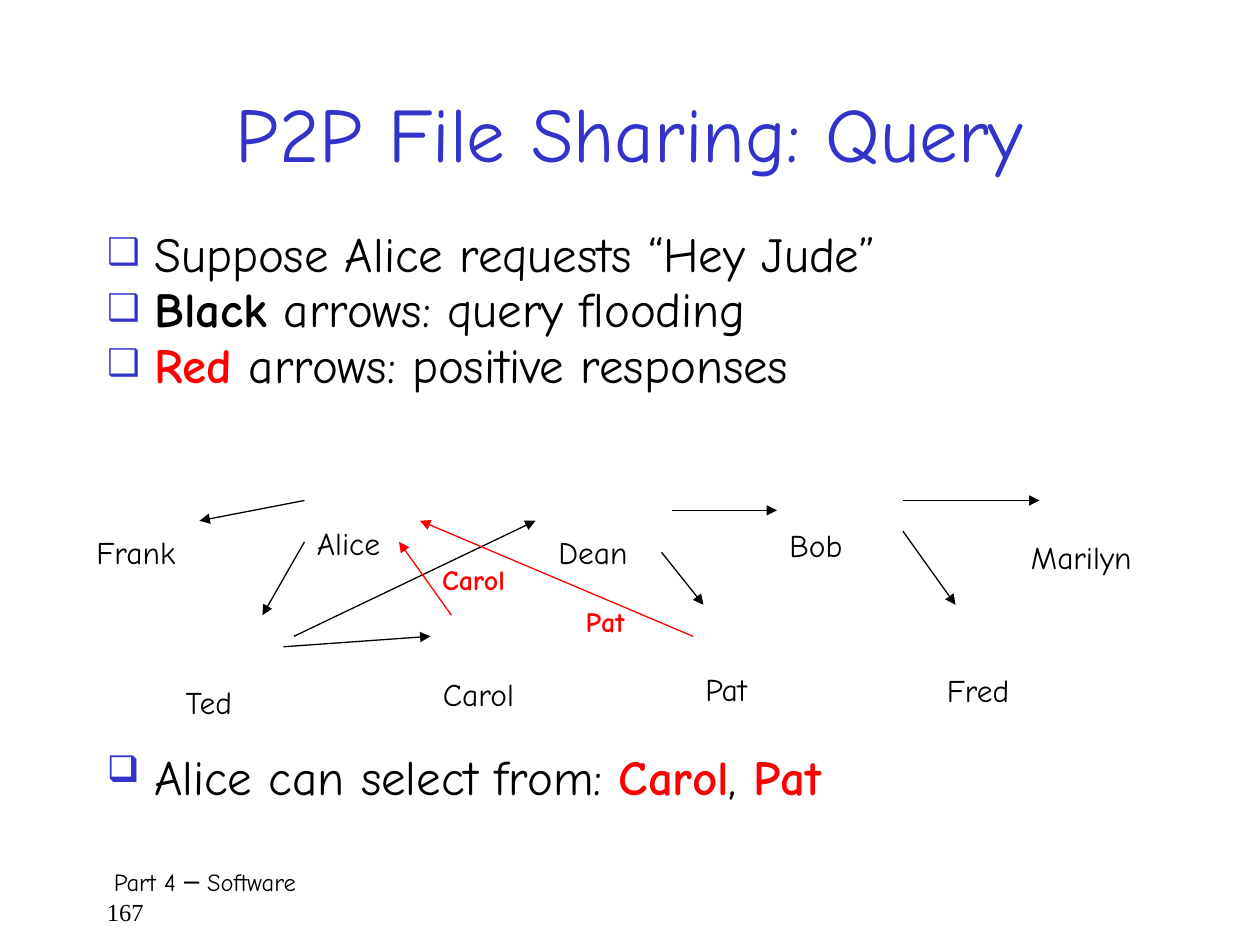
import pptx
import pptx.util
import pptx.dml.color
import pptx.enum.shapes
import pptx.enum.text
import pptx.oxml.ns
import lxml.etree

Pt = pptx.util.Pt
HUE = {"ink": "000000", "blue": "3333CC", "red": "FF0000"}
FACE = "Comic Neue"

# Content: a run is (text, colour, bold)
TITLE = "P2P File Sharing: Query"
LIST = [
    [("Suppose Alice requests “Hey Jude”", "ink", False)],
    [("Black", "ink", True), (" arrows: query flooding", "ink", False)],
    [("Red", "red", True), (" arrows: positive responses", "ink", False)],
]
LAST = [[("Alice can select from: ", "ink", False), ("Carol", "red", True),
         (", ", "ink", False), ("Pat", "red", True)]]
FOOT, PAGE = "Part 4 ─ Software", "167"

# Peers and replies: name, left, top, width
PEERS = [
    ("Frank", 48, 301, 62.6), ("Ted", 99, 387, 47), ("Carol", 246, 382, 57.6),
    ("Pat", 396, 379.5, 42), ("Marilyn", 582, 304, 77), ("Bob", 444, 297, 46),
    ("Alice", 174, 296, 57), ("Dean", 312, 301, 56), ("Fred", 534, 380, 55),
]
REPLIES = [("Carol", 245.5, 318, 54), ("Pat", 327.6, 342, 39.6)]

# Arrows: start x, y, end x, y
ARROWS = {
    "ink": [
        (174, 286, 114, 297.6), (174, 309.6, 150, 351.6),
        (162, 369.6, 246, 363.6), (168, 363.6, 306, 297.6),
        (384, 291.6, 444, 291.6), (378, 315.6, 402, 345.6),
        (516, 286, 594, 286), (516, 303.6, 546, 345.6),
    ],
    "red": [(396, 363.6, 240, 297.6), (258, 351.6, 228, 309.6)],
}


def add(node, tag, **attrs):
    return lxml.etree.SubElement(node, pptx.oxml.ns.qn(tag), attrs)


def tint(hue):
    return pptx.dml.color.RGBColor.from_string(HUE[hue])


def write(frame, paras, size=18, hue="ink", bold=False, face=FACE,
          align=None, line=None, gap=0, mark=False, wrap=True, fit="NONE"):
    """Fill a text frame; paras is a string or a list of lists of runs."""
    if isinstance(paras, str):
        paras = [[(paras, hue, bold)]]
    frame.word_wrap = wrap
    frame.auto_size = getattr(pptx.enum.text.MSO_AUTO_SIZE, fit)
    for i, runs in enumerate(paras):
        para = frame.add_paragraph() if i else frame.paragraphs[0]
        if mark:
            props = para._p.get_or_add_pPr()
            props.set("marL", str(Pt(27)))
            props.set("indent", str(-Pt(27)))
            add(add(props, "a:buClr"), "a:srgbClr", val=HUE["blue"])
            add(props, "a:buSzPct", val="75000")
            add(props, "a:buChar", char="❑")
        para.alignment = align
        para.line_spacing = line
        para.space_before = Pt(gap if i else 0)
        for text, tone, heavy in runs:
            run = para.add_run()
            run.text = text
            font = run.font
            font.name, font.size, font.bold = face, Pt(size), heavy
            font.color.rgb = tint(tone)


def place(shape, *box):
    shape.left, shape.top, shape.width, shape.height = map(Pt, box)
    return shape.text_frame


def box(slide, *area):
    return slide.shapes.add_textbox(*map(Pt, area)).text_frame


def arrow(slide, hue, *ends):
    kind = pptx.enum.shapes.MSO_CONNECTOR.STRAIGHT
    link = slide.shapes.add_connector(kind, *map(Pt, ends))
    link.line.color.rgb = tint(hue)
    link.line.width = Pt(0.75)
    add(link.line._get_or_add_ln(), "a:tailEnd", type="triangle")
    add(link._element.spPr, "a:effectLst")


def main():
    deck = pptx.Presentation()
    deck.slide_width, deck.slide_height = Pt(720), Pt(540)
    slide = deck.slides.add_slide(deck.slide_layouts[1])

    # Title and lists
    head = place(slide.shapes.title, 54, 42, 612, 66)
    head.vertical_anchor = pptx.enum.text.MSO_ANCHOR.MIDDLE
    write(head, TITLE, size=44, hue="blue",
          align=pptx.enum.text.PP_ALIGN.CENTER)
    body = place(slide.placeholders[1], 54, 132, 618, 108)
    write(body, LIST, size=28, line=0.75, gap=6.4, mark=True)
    write(box(slide, 54, 432, 612, 36), LAST, size=28, line=0.7, mark=True)

    # Footer, with the page number on its second line
    foot = box(slide, 54, 492, 618, 36)
    write(foot, [[(FOOT, "ink", False)], [(PAGE, "ink", False)]], size=14)
    foot.paragraphs[0]._p.get_or_add_pPr().set("indent", str(Pt(4)))
    foot.paragraphs[1].runs[0].font.name = "Times New Roman"

    # Peer network
    for name, left, top, wide in PEERS:
        write(box(slide, left, top, wide, 32.4), name,
              wrap=False, fit="SHAPE_TO_FIT_TEXT")
    for hue, rows in ARROWS.items():
        for ends in rows:
            arrow(slide, hue, *ends)
    for name, left, top, wide in REPLIES:
        write(box(slide, left, top, wide, 29.5), name, size=16, hue="red",
              bold=True, wrap=False, fit="SHAPE_TO_FIT_TEXT")

    deck.save("out.pptx")


if __name__ == "__main__":
    main()
